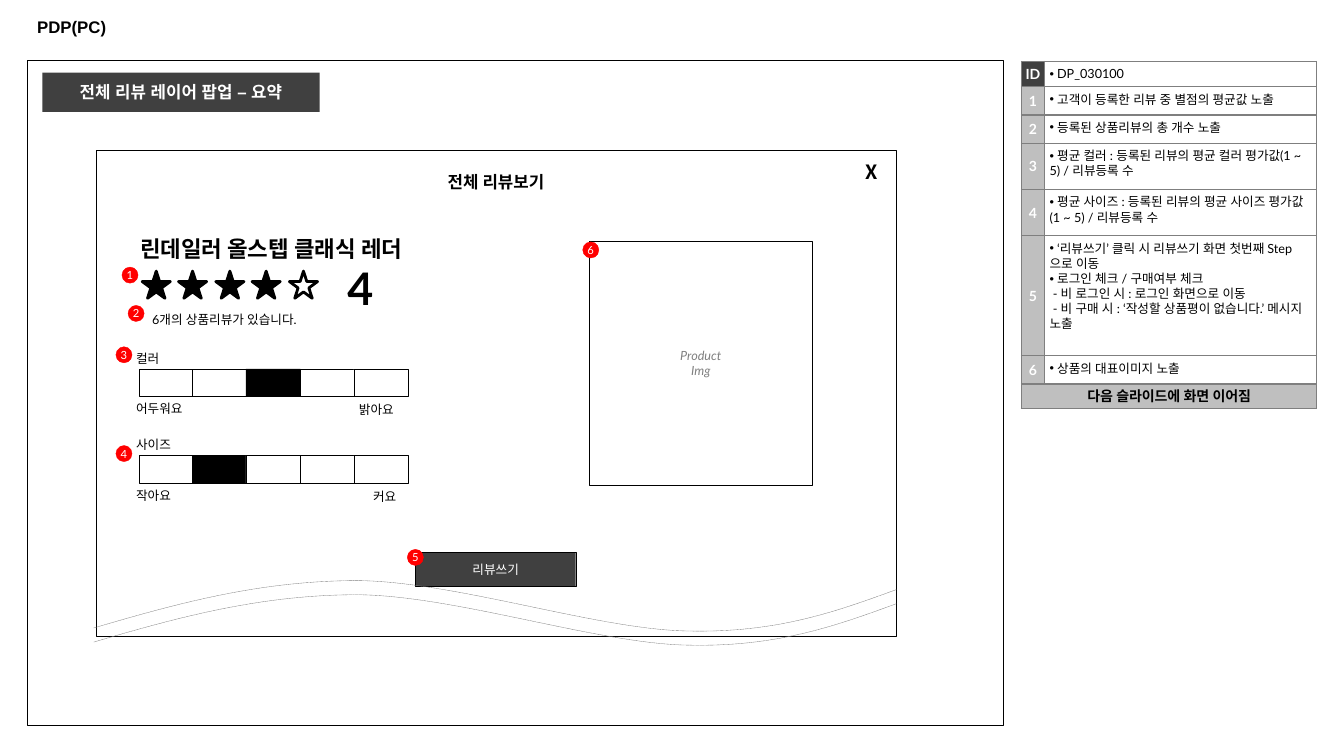
from dataclasses import dataclass

from lxml.etree import SubElement
from pptx import Presentation
from pptx.dml.color import RGBColor
from pptx.enum.dml import MSO_LINE
from pptx.enum.shapes import MSO_SHAPE
from pptx.enum.text import MSO_ANCHOR, PP_ALIGN
from pptx.oxml.ns import qn
from pptx.util import Pt

PX = 9144  # EMU in one px, 100 px to the inch

BLACK = RGBColor(0x00, 0x00, 0x00)
WHITE = RGBColor(0xFF, 0xFF, 0xFF)
RED = RGBColor(0xFF, 0x00, 0x00)
DARK = RGBColor(0x40, 0x40, 0x40)
GREY = RGBColor(0x80, 0x80, 0x80)
BORDER = RGBColor(0x7F, 0x7F, 0x7F)
SILVER = RGBColor(0xBF, 0xBF, 0xBF)


@dataclass
class Style:
    size: float = 9
    color: RGBColor = BLACK
    bold: bool = False
    italic: bool = False
    font: str = "Lato"
    align: PP_ALIGN = PP_ALIGN.LEFT
    spacing: float = 1.0


@dataclass
class Label:
    text: str
    x: int
    y: int
    w: int
    h: int
    style: Style
    inset: tuple = (4, 4)
    anchor: MSO_ANCHOR = MSO_ANCHOR.TOP
    wrap: bool = True


@dataclass
class Scale:
    y: int
    chosen: int


@dataclass
class Badge:
    number: str
    x: int
    y: int


@dataclass
class Note:
    key: str
    height: int
    lines: tuple


CENTER = PP_ALIGN.CENTER
CAPTION = Style(spacing=1.5)
BADGE_STYLE = Style(8, WHITE, align=CENTER)
KEY_STYLE = Style(10, WHITE, bold=True, align=CENTER)

LABELS = [
    Label("PDP(PC)", 27, 7, 1279, 39, Style(12, bold=True, font="Arial"), (10, 5), MSO_ANCHOR.MIDDLE),
    Label("X", 849, 154, 32, 34, Style(14, bold=True, font="Noto Sans CJK KR"), (10, 5), wrap=False),
    Label("린데일러 올스텝 클래식 레더", 135, 229, 364, 34, Style(16, bold=True)),
    Label("4", 323, 254, 69, 42, Style(32, bold=True, align=CENTER), (10, 5)),
    Label("6개의 상품리뷰가 있습니다.", 135, 298, 175, 32, Style(align=CENTER, spacing=1.5)),
    Label("컬러", 131, 337, 175, 32, CAPTION),
    Label("사이즈", 131, 422, 175, 32, CAPTION),
    Label("어두워요", 131, 386, 59, 32, CAPTION),
    Label("밝아요", 352, 387, 59, 32, CAPTION),
    Label("작아요", 131, 472, 59, 32, CAPTION),
    Label("커요", 366, 473, 59, 32, CAPTION),
]
SCALES = [Scale(366, 2), Scale(452, 1)]
BADGES = [
    Badge("1", 121, 265), Badge("2", 127, 303), Badge("3", 115, 344),
    Badge("4", 115, 442), Badge("5", 404, 545), Badge("6", 578, 240),
]
NOTES = [
    Note("ID", 24, ("• DP_030100",)),
    Note("1", 28, ("• 고객이 등록한 리뷰 중 별점의 평균값 노출",)),
    Note("2", 28, ("• 등록된 상품리뷰의 총 개수 노출",)),
    Note("3", 46, ("• 평균 컬러 : 등록된 리뷰의 평균 컬러 평가값(1 ~ 5) / 리뷰등록 수",)),
    Note("4", 46, ("• 평균 사이즈 : 등록된 리뷰의 평균 사이즈 평가값(1 ~ 5) / 리뷰등록 수",)),
    Note("5", 119, (
        "• ‘리뷰쓰기’ 클릭 시 리뷰쓰기 화면 첫번째 Step 으로 이동",
        "• 로그인 체크 / 구매여부 체크",
        " - 비 로그인 시 : 로그인 화면으로 이동",
        " - 비 구매 시 : ‘작성할 상품평이 없습니다.’ 메시지 노출",
    )),
    Note("6", 28, ("• 상품의 대표이미지 노출",)),
]
FOOTER = "다음 슬라이드에 화면 이어짐"
# Start point, then two controls and an end for each cubic segment
WAVE = [
    (93, 623),
    (175, 599), (257, 576), (355, 576),
    (453, 577), (594, 625), (683, 626),
    (772, 628), (831, 606), (889, 585),
]


def write(tf, lines, style: Style) -> None:
    for i, line in enumerate(lines):
        p = tf.paragraphs[0] if i == 0 else tf.add_paragraph()
        p.alignment = style.align
        p.line_spacing = style.spacing
        if line.startswith("•"):
            pPr = p._p.get_or_add_pPr()
            pPr.set("marL", "0")
            pPr.set("indent", "0")
            SubElement(pPr, qn("a:buFont")).set("typeface", "Arial")
            SubElement(pPr, qn("a:buChar")).set("char", "•")
            line = line[1:]
        r = p.add_run()
        r.text = line
        f = r.font
        f.size, f.name = Pt(style.size), style.font
        f.bold, f.italic = style.bold, style.italic
        f.color.rgb = style.color
        SubElement(r._r.get_or_add_rPr(), qn("a:ea")).set("typeface", style.font)


def set_frame(tf, inset: tuple, anchor: MSO_ANCHOR, wrap: bool = True) -> None:
    tf.margin_left = tf.margin_right = inset[0] * PX
    tf.margin_top = tf.margin_bottom = inset[1] * PX
    tf.vertical_anchor = anchor
    tf.word_wrap = wrap


def add_label(s, label: Label) -> None:
    sp = s.shapes.add_textbox(*(v * PX for v in (label.x, label.y, label.w, label.h)))
    set_frame(sp.text_frame, label.inset, label.anchor, label.wrap)
    write(sp.text_frame, [label.text], label.style)


def paint(sp, fill, line, width: float) -> None:
    sp.shadow.inherit = False
    if fill is None:
        sp.fill.background()
    else:
        sp.fill.solid()
        sp.fill.fore_color.rgb = fill
    if line is None:
        sp.line.fill.background()
    else:
        sp.line.color.rgb = line
        sp.line.width = Pt(width)


def add_box(s, kind, box, fill=None, line=BLACK, width=0.25, lines=(), style=Style(),
            inset=(4, 4), anchor=MSO_ANCHOR.MIDDLE, wrap=True) -> None:
    sp = s.shapes.add_shape(kind, *(v * PX for v in box))
    paint(sp, fill, line, width)
    set_frame(sp.text_frame, inset, anchor, wrap)
    write(sp.text_frame, lines, style)


def add_wave(s, dy: int) -> None:
    fb = s.shapes.build_freeform(*WAVE[0], scale=PX)
    fb.add_line_segments(WAVE[1:], close=False)
    sp = fb.convert_to_shape(0, dy * PX)
    # Turn each three line steps into one cubic curve
    outline = next(sp._element.iter(qn("a:path")))
    steps = outline.findall(qn("a:lnTo"))
    for i in range(0, len(steps), 3):
        curve = SubElement(outline, qn("a:cubicBezTo"))
        for step in steps[i:i + 3]:
            curve.append(step[0])
            outline.remove(step)
    paint(sp, None, GREY, 0.25)
    sp.line.dash_style = MSO_LINE.SQUARE_DOT


def fill_cell(cell, lines, style: Style, fill=None) -> None:
    inset = 5 if fill is None else 0
    cell.margin_left = cell.margin_right = cell.margin_top = cell.margin_bottom = inset * PX
    cell.vertical_anchor = MSO_ANCHOR.TOP if fill is None else MSO_ANCHOR.MIDDLE
    tcPr = cell._tc.get_or_add_tcPr()
    for side in ("lnL", "lnR", "lnT", "lnB"):
        ln = SubElement(tcPr, qn(f"a:{side}"), w=str(Pt(1)))
        SubElement(SubElement(ln, qn("a:solidFill")), qn("a:srgbClr")).set("val", str(BORDER))
    if fill is None:
        cell.fill.background()
    else:
        cell.fill.solid()
        cell.fill.fore_color.rgb = fill
    write(cell.text_frame, lines, style)


def add_notes_table(s) -> None:
    heights = [n.height for n in NOTES] + [24]
    table = s.shapes.add_table(len(heights), 2, 1013 * PX, 61 * PX, 293 * PX, sum(heights) * PX).table
    table.first_row = table.horz_banding = False
    for col, width in zip(table.columns, (23, 270)):
        col.width = width * PX
    for row, height in zip(table.rows, heights):
        row.height = height * PX
    for i, note in enumerate(NOTES):
        fill_cell(table.cell(i, 0), [note.key], KEY_STYLE, SILVER if i else DARK)
        fill_cell(table.cell(i, 1), note.lines, Style())
    last = len(NOTES)
    table.cell(last, 0).merge(table.cell(last, 1))
    fill_cell(table.cell(last, 0), [FOOTER], Style(10, bold=True, align=CENTER), SILVER)
    fill_cell(table.cell(last, 1), [], Style(), SILVER)


def main() -> None:
    prs = Presentation()
    prs.slide_width, prs.slide_height = 1333 * PX, 750 * PX
    s = prs.slides.add_slide(prs.slide_layouts[6])
    rect = MSO_SHAPE.RECTANGLE

    add_notes_table(s)
    # Screen frame, popup, button and product picture area
    add_box(s, rect, (27, 60, 968, 660), width=0.75)
    add_box(s, rect, (95, 149, 794, 482), lines=["전체 리뷰보기"],
            style=Style(12, bold=True, align=CENTER), inset=(4, 21), anchor=MSO_ANCHOR.TOP)
    add_box(s, rect, (412, 548, 159, 34), DARK, lines=["리뷰쓰기"], style=Style(9, WHITE, align=CENTER))
    add_box(s, rect, (584, 239, 222, 242), WHITE, lines=["Product", "Img"],
            style=Style(9, GREY, italic=True, align=CENTER))
    # Star rating, four of five
    for i in range(5):
        add_box(s, MSO_SHAPE.STAR_5_POINT, (141 + 73 * i // 2, 269, 28, 27), BLACK if i < 4 else None, width=2)
    # Five-step colour and size scales
    for scale in SCALES:
        for i in range(5):
            add_box(s, rect, (138 + 160 * i // 3, scale.y, 54, 27), BLACK if i == scale.chosen else WHITE)
    for label in LABELS:
        add_label(s, label)
    # Cut-off waves
    for dy in (0, 14):
        add_wave(s, dy)
    # Numbered badges and section banner
    for b in BADGES:
        add_box(s, MSO_SHAPE.OVAL, (b.x, b.y, 16, 16), RED, RED, lines=[b.number],
                style=BADGE_STYLE, inset=(0, 0), wrap=False)
    add_box(s, rect, (42, 72, 275, 39), DARK, None, lines=["전체 리뷰 레이어 팝업 – 요약"],
            style=Style(12, WHITE, bold=True, font="Arial", align=CENTER), inset=(10, 5))
    prs.save("out.pptx")


if __name__ == "__main__":
    main()
